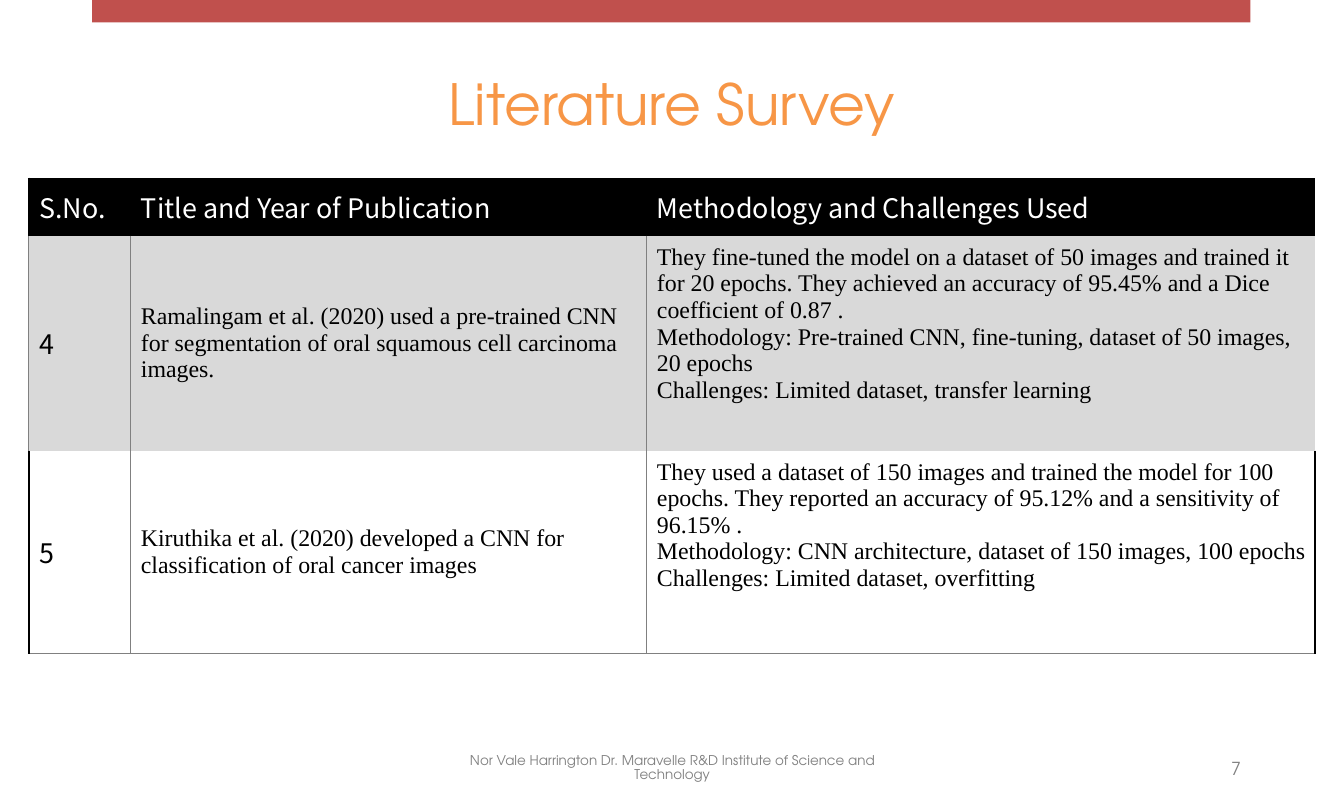
from dataclasses import dataclass
from typing import Optional

from lxml import etree
from pptx import Presentation
from pptx.dml.color import RGBColor
from pptx.enum.shapes import MSO_SHAPE
from pptx.enum.text import MSO_ANCHOR, PP_ALIGN
from pptx.oxml.ns import qn
from pptx.util import Cm, Pt

RECTANGLE = MSO_SHAPE.RECTANGLE
TOP, MIDDLE = MSO_ANCHOR.TOP, MSO_ANCHOR.MIDDLE
LEFT, CENTER, RIGHT = PP_ALIGN.LEFT, PP_ALIGN.CENTER, PP_ALIGN.RIGHT


@dataclass(frozen=True)
class TextStyle:
    font: str
    size: float
    color: str


@dataclass(frozen=True)
class Border:
    color: str
    width: float


@dataclass(frozen=True)
class Theme:
    bar: str = "C0504D"
    header_fill: str = "000000"
    band_fill: str = "D9D9D9"
    title: TextStyle = TextStyle("TeX Gyre Adventor", 38, "F79646")
    footer: TextStyle = TextStyle("TeX Gyre Adventor", 9, "808080")
    number: TextStyle = TextStyle("TeX Gyre Adventor", 12, "808080")
    header: TextStyle = TextStyle("Noto Sans CJK KR", 18, "FFFFFF")
    serial: TextStyle = TextStyle("Noto Sans CJK KR", 18, "000000")
    body: TextStyle = TextStyle("Times New Roman", 16, "000000")
    thin: Border = Border("808080", 0.5)
    thick: Border = Border("000000", 1.5)


THEME = Theme()


@dataclass(frozen=True)
class Label:
    text: str
    left: float
    top: float
    width: float
    height: float
    style: TextStyle
    align: PP_ALIGN
    line_spacing: float = 1.0


@dataclass(frozen=True)
class SurveyRow:
    height: float
    cells: tuple[str, str, str]
    styles: tuple[TextStyle, TextStyle, TextStyle]
    fill: Optional[str] = None
    left: Optional[Border] = None
    inner: Optional[Border] = None
    right: Optional[Border] = None
    top: Optional[Border] = None
    bottom: Optional[Border] = None
    last_anchor: MSO_ANCHOR = TOP


LABELS = [
    Label("Literature Survey", 2.18, 0.94, 27.38, 3, THEME.title, CENTER),
    Label("Nor Vale Harrington Dr. Maravelle R&D Institute of Science and Technology",
          10.52, 17.65, 10.72, 1.02, THEME.footer, CENTER, 0.9),
    Label("7", 22.71, 17.65, 6.86, 1.02, THEME.number, RIGHT),
]

COLUMN_WIDTHS = [2.4, 12.19, 15.8]
BODY_STYLES = (THEME.serial, THEME.body, THEME.body)
ROWS = [
    SurveyRow(
        1.35,
        ("S.No.", "Title and Year of Publication", "Methodology and Challenges Used"),
        (THEME.header,) * 3,
        fill=THEME.header_fill, left=THEME.thick, top=THEME.thick, last_anchor=MIDDLE),
    SurveyRow(
        5.08,
        ("4",
         "Ramalingam et al. (2020) used a pre-trained CNN for segmentation of oral "
         "squamous cell carcinoma images.",
         "They fine-tuned the model on a dataset of 50 images and trained it for 20 epochs. "
         "They achieved an accuracy of 95.45% and a Dice coefficient of 0.87 .\n"
         "Methodology: Pre-trained CNN, fine-tuning, dataset of 50 images, 20 epochs\n"
         "Challenges: Limited dataset, transfer learning"),
        BODY_STYLES, fill=THEME.band_fill, left=THEME.thin, inner=THEME.thin),
    SurveyRow(
        4.8,
        ("5",
         "Kiruthika et al. (2020) developed a CNN for classification of oral cancer images",
         "They used a dataset of 150 images and trained the model for 100 epochs. "
         "They reported an accuracy of 95.12% and a sensitivity of 96.15% .\n"
         "Methodology: CNN architecture, dataset of 150 images, 100 epochs\n"
         "Challenges: Limited dataset, overfitting"),
        BODY_STYLES, left=THEME.thick, inner=THEME.thin, right=THEME.thick,
        bottom=THEME.thin),
]


def write_text(tf, text: str, style: TextStyle, align: PP_ALIGN = LEFT,
               line_spacing: float = 1.0) -> None:
    tf.text = text
    for p in tf.paragraphs:
        p.alignment = align
        p.line_spacing = line_spacing
        p.font.name = style.font
        p.font.size = Pt(style.size)
        p.font.color.rgb = RGBColor.from_string(style.color)


def add_label(s, label: Label) -> None:
    box = s.shapes.add_textbox(Cm(label.left), Cm(label.top), Cm(label.width), Cm(label.height))
    tf = box.text_frame
    tf.word_wrap = True
    tf.vertical_anchor = MIDDLE
    write_text(tf, label.text, label.style, label.align, label.line_spacing)


def add_bar(s) -> None:
    sp = s.shapes.add_shape(RECTANGLE, Cm(2.18), 0, Cm(27.36), Cm(0.53))
    sp.shadow.inherit = False
    sp.fill.solid()
    sp.fill.fore_color.rgb = RGBColor.from_string(THEME.bar)
    sp.line.fill.background()


def set_border(cell, side: str, border: Optional[Border]) -> None:
    """Append one edge (L, R, T, B in this order); None hides the edge."""
    ln = etree.SubElement(cell._tc.get_or_add_tcPr(), qn(f"a:ln{side}"))
    if border is None:
        etree.SubElement(ln, qn("a:noFill"))
        return
    ln.set("w", str(Pt(border.width)))
    fill = etree.SubElement(ln, qn("a:solidFill"))
    etree.SubElement(fill, qn("a:srgbClr")).set("val", border.color)


def format_cell(cell, row: SurveyRow, col: int) -> None:
    last = len(COLUMN_WIDTHS) - 1
    cell.margin_left = Cm(0.25)
    cell.margin_right = Cm(0.08)
    cell.margin_top = cell.margin_bottom = Cm(0.2)
    cell.vertical_anchor = row.last_anchor if col == last else MIDDLE
    set_border(cell, "L", row.left if col == 0 else row.inner)
    set_border(cell, "R", row.right if col == last else row.inner)
    set_border(cell, "T", row.top)
    set_border(cell, "B", row.bottom)
    if row.fill is None:
        cell.fill.background()
    else:
        cell.fill.solid()
        cell.fill.fore_color.rgb = RGBColor.from_string(row.fill)
    write_text(cell.text_frame, row.cells[col], row.styles[col])


def add_survey_table(s) -> None:
    table = s.shapes.add_table(
        len(ROWS), len(COLUMN_WIDTHS), Cm(0.68), Cm(4.22),
        Cm(sum(COLUMN_WIDTHS)), Cm(sum(row.height for row in ROWS))).table
    table.horz_banding = False
    for column, width in zip(table.columns, COLUMN_WIDTHS):
        column.width = Cm(width)
    for i, row in enumerate(ROWS):
        table.rows[i].height = Cm(row.height)
        for col in range(len(COLUMN_WIDTHS)):
            format_cell(table.cell(i, col), row, col)


def main() -> None:
    prs = Presentation()
    prs.slide_width, prs.slide_height = Cm(31.75), Cm(19.05)
    s = prs.slides.add_slide(prs.slide_layouts[6])
    add_bar(s)
    for label in LABELS:
        add_label(s, label)
    add_survey_table(s)
    prs.save("out.pptx")


if __name__ == "__main__":
    main()
